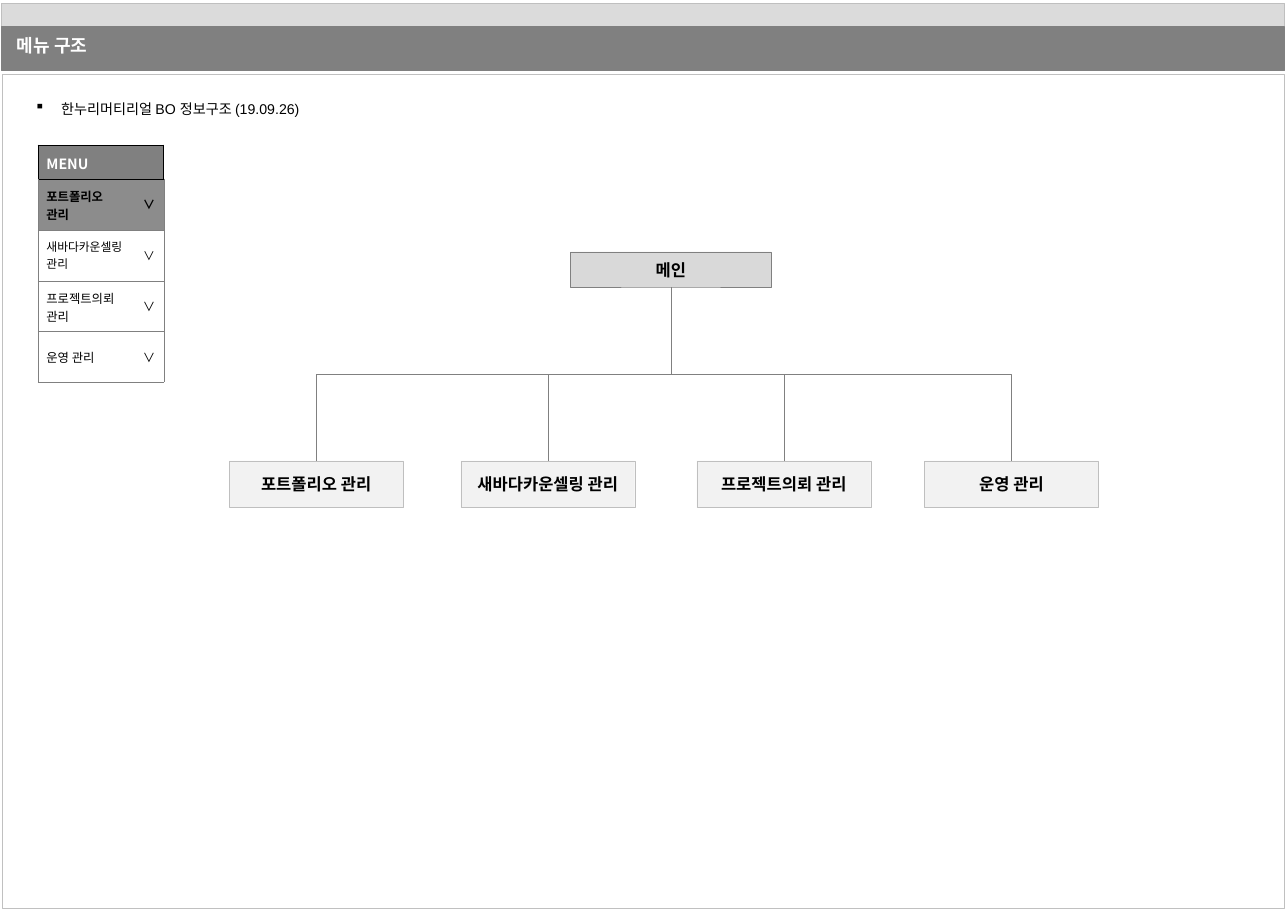
from lxml import etree
from pptx import Presentation
from pptx import util as u
from pptx.dml.color import RGBColor
from pptx.enum import shapes, text
from pptx.oxml.ns import qn

NOTO = "Noto Sans CJK KR"
GRAY = "808080"
BLACK = "000000"
SILVER = "BFBFBF"
LEFT, CENTER = text.PP_ALIGN.LEFT, text.PP_ALIGN.CENTER
MIDDLE = text.MSO_ANCHOR.MIDDLE

SECTIONS = [
    ("포트폴리오 관리", 6.86),
    ("새바다카운셀링 관리", 13.79),
    ("프로젝트의뢰 관리", 20.85),
    ("운영 관리", 27.66),
]
MENU_STYLES = [(10.5, True), (10, False), (10.5, False), (10.5, False)]


def color(value):
    return RGBColor.from_string(value)


def write(frame, words, size, font="Arial", ink=BLACK, bold=False, align=LEFT):
    para = frame.paragraphs[0]
    para.alignment = align
    span = para.add_run()
    span.text = words
    span.font.size = u.Pt(size)
    span.font.name = font
    span.font.bold = bold
    span.font.color.rgb = color(ink)
    east = etree.SubElement(span.font._element, qn("a:ea"))
    east.set("typeface", NOTO)
    return para


def set_margins(target, side, edge):
    target.margin_left = target.margin_right = u.Cm(side)
    target.margin_top = target.margin_bottom = u.Cm(edge)


def add_box(page, left, top, width, height, line, weight, fill=None):
    box = page.shapes.add_shape(
        shapes.MSO_SHAPE.RECTANGLE, u.Cm(left), u.Cm(top), u.Cm(width), u.Cm(height))
    box.shadow.inherit = False
    if fill:
        box.fill.solid()
        box.fill.fore_color.rgb = color(fill)
    else:
        box.fill.background()
    box.line.color.rgb = color(line)
    box.line.width = u.Pt(weight)
    return box


def add_node(page, words, left, top, width, height, line, fill, side=0.2):
    box = add_box(page, left, top, width, height, line, 0.25, fill)
    frame = box.text_frame
    frame.word_wrap = True
    frame.vertical_anchor = MIDDLE
    set_margins(frame, side, 0.1)
    write(frame, words, 14, bold=True, align=CENTER)
    return box


def add_branch(page, parent, child):
    start_x, start_y = parent.left + parent.width // 2, parent.top + parent.height
    end_x, end_y = child.left + child.width // 2, child.top
    branch = page.shapes.add_connector(
        shapes.MSO_CONNECTOR.ELBOW, start_x, start_y, end_x, end_y)
    branch.begin_connect(parent, 2)
    branch.end_connect(child, 0)
    branch.width, branch.height = end_y - start_y, abs(end_x - start_x)
    branch.left = (start_x + end_x - branch.width) // 2
    branch.top = (start_y + end_y - branch.height) // 2
    rightward = end_x > start_x
    frame = branch._element.spPr.find(qn("a:xfrm"))
    frame.set("rot", str((270 if rightward else 90) * 60000))
    frame.set("flipH", "1" if rightward else "0")
    branch.line.color.rgb = color(GRAY)
    branch.line.width = u.Pt(0.5)
    etree.SubElement(branch._element.spPr, qn("a:effectLst"))


def set_border(cell, sides, ink, weight):
    properties = cell._tc.get_or_add_tcPr()
    for index, side in enumerate("LRTB"):
        line = etree.Element(qn("a:ln" + side), w=str(u.Pt(weight)))
        if side in sides:
            fill = etree.SubElement(line, qn("a:solidFill"))
            etree.SubElement(fill, qn("a:srgbClr"), val=ink)
        else:
            etree.SubElement(line, qn("a:noFill"))
        properties.insert(index, line)


def format_cell(cell, fill, sides, ink=GRAY, weight=0.25):
    cell.vertical_anchor = MIDDLE
    set_margins(cell, 0.25, 0.25)
    if fill:
        cell.fill.solid()
        cell.fill.fore_color.rgb = color(fill)
    else:
        cell.fill.background()
    set_border(cell, sides, ink, weight)


def add_menu(page):
    rows = len(SECTIONS) + 1
    menu = page.shapes.add_table(
        rows, 2, u.Cm(1.14), u.Cm(4.34), u.Cm(3.76), u.Cm(7.1)).table
    menu.first_row = menu.horz_banding = False
    menu.columns[0].width, menu.columns[1].width = u.Cm(2.87), u.Cm(0.89)
    for index, row in enumerate(menu.rows):
        row.height = u.Cm(1.52 if index else 1.02)

    header, header_end = menu.cell(0, 0), menu.cell(0, 1)
    header.merge(header_end)
    for cell in (header, header_end):
        format_cell(cell, GRAY, "LRTB", BLACK, 1)
    write(header.text_frame, "MENU", 12, NOTO, "FFFFFF", True)

    for index, ((name, _), (size, bold)) in enumerate(zip(SECTIONS, MENU_STYLES), 1):
        fill = "8C8C8C" if index == 1 else None
        top = "T" if index > 1 else ""
        label, arrow = menu.cell(index, 0), menu.cell(index, 1)
        format_cell(label, fill, "LB" + top)
        format_cell(arrow, fill, "RB" + top)
        write(label.text_frame, name, size, NOTO, bold=bold)
        write(arrow.text_frame, "∨", size, NOTO, bold=bold, align=CENTER)


def add_title(page, words):
    title = page.shapes.title
    title.left, title.top = u.Cm(0), u.Cm(0.79)
    title.width, title.height = u.Cm(36.27), u.Cm(1.22)
    frame = title.text_frame
    frame.auto_size = text.MSO_AUTO_SIZE.NONE
    frame.vertical_anchor = MIDDLE
    set_margins(frame, 0.3, 0.15)
    frame.margin_left = u.Cm(0.5)
    write(frame, words, 15.3, NOTO, "FFFFFF", True).line_spacing = 0.9
    page.shapes._spTree.append(title._element)


def add_bullet(page, words):
    box = page.shapes.add_textbox(u.Cm(0.79), u.Cm(2.87), u.Cm(8.92), u.Cm(0.76))
    box.text_frame.word_wrap = False
    properties = write(box.text_frame, words, 12)._p.get_or_add_pPr()
    properties.set("marL", str(u.Cm(0.79)))
    properties.set("indent", str(u.Cm(-0.79)))
    etree.SubElement(properties, qn("a:buChar"), char="▪")


def main():
    deck = Presentation()
    deck.slide_width, deck.slide_height = u.Cm(38.53), u.Cm(27.2)
    page = deck.slides.add_slide(deck.slide_layouts[5])

    add_box(page, 0.08, 2.24, 38.35, 24.96, "C0C0C0", 0.75)
    add_box(page, 0.05, 0.1, 38.38, 0.79, SILVER, 1, "DBDBDB")
    add_box(page, 0.05, 0.81, 38.38, 1.3, GRAY, 1, GRAY)
    add_title(page, "메뉴 구조")
    add_bullet(page, "한누리머티리얼 BO 정보구조 (19.09.26)")

    home = add_node(page, "메인", 17.07, 7.54, 6, 1.05, GRAY, "D9D9D9")
    for name, left in SECTIONS:
        side = 0 if len(name) > 9 else 0.2
        section = add_node(page, name, left, 13.79, 5.2, 1.4, SILVER, "F2F2F2", side)
        add_branch(page, home, section)
    add_menu(page)
    deck.save("out.pptx")


if __name__ == "__main__":
    main()
